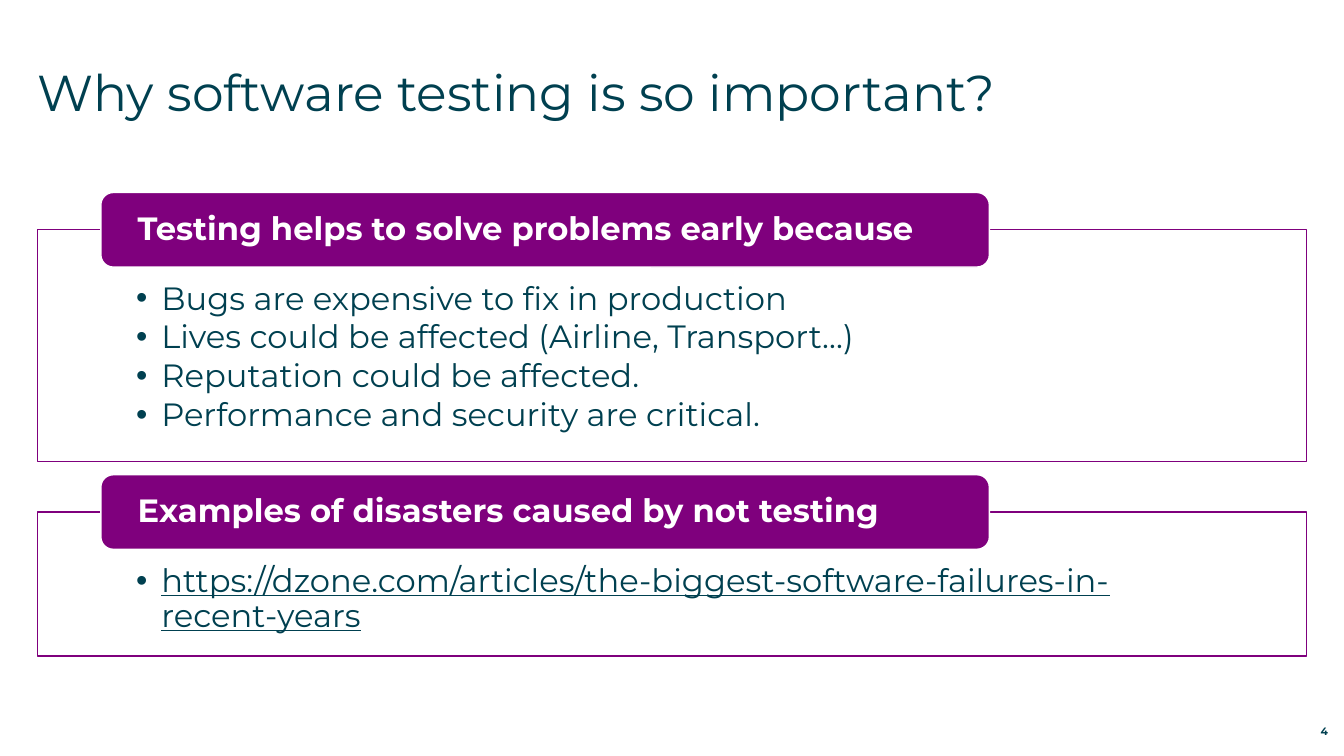
from lxml.etree import SubElement
from pptx import Presentation
from pptx.dml.color import RGBColor
from pptx.enum.shapes import MSO_SHAPE
from pptx.enum.text import MSO_ANCHOR, PP_ALIGN
from pptx.oxml.ns import qn
from pptx.util import Inches, Pt

FONT = "Montserrat"
COLORS = {"text": "004050", "accent": "7F007D", "white": "FFFFFF"}
BODY_SIZE = 23

# Each panel: top, height, heading, bullet lines, underlined
PANELS = [
    (2.28, 2.3, "Testing helps to solve problems early because", [
        "Bugs are expensive to fix in production",
        "Lives could be affected (Airline, Transport…)",
        "Reputation could be affected.",
        "Performance and security are critical.",
    ], False),
    (5.08, 1.43, "Examples of disasters caused by not testing", [
        "https://dzone.com/articles/the-biggest-software-failures-in-recent-years",
    ], True),
]


def set_frame(shape, margins=(0, 0, 0, 0), anchor=MSO_ANCHOR.TOP):
    frame = shape.text_frame
    frame.word_wrap = True
    frame.vertical_anchor = anchor
    (frame.margin_left, frame.margin_top,
     frame.margin_right, frame.margin_bottom) = map(Inches, margins)
    return frame


def add_span(para, text, size, color="text", bold=False, underline=False):
    span = para.add_run()
    span.text = text
    font = span.font
    font.name = FONT
    font.size = Pt(size)
    font.bold = bold
    font.underline = underline
    font.color.rgb = RGBColor.from_string(COLORS[color])


def add_label(page, box, text, size, align=PP_ALIGN.LEFT,
              anchor=MSO_ANCHOR.TOP, bold=False):
    label = page.shapes.add_textbox(*map(Inches, box))
    para = set_frame(label, anchor=anchor).paragraphs[0]
    para.alignment = align
    add_span(para, text, size, bold=bold)


def add_block(page, preset, box, fill, line):
    block = page.shapes.add_shape(preset, *map(Inches, box))
    block.shadow.inherit = False
    block.fill.solid()
    block.fill.fore_color.rgb = RGBColor.from_string(COLORS[fill])
    block.line.color.rgb = RGBColor.from_string(COLORS[line])
    block.line.width = Pt(1)
    return block


def add_bullet(para):
    properties = para._p.get_or_add_pPr()
    properties.set("marL", str(Inches(0.25)))
    properties.set("indent", str(-Inches(0.25)))
    SubElement(properties, qn("a:buFont"), typeface="Arial")
    SubElement(properties, qn("a:buChar"), char="•")


def add_panel(page, box, heading, lines, underline):
    left, top, width, height = box

    # Outlined body with bullets
    body = add_block(page, MSO_SHAPE.RECTANGLE, box, "white", "accent")
    frame = set_frame(body, (0.98, 0.52, 0.98, 0.18))
    for index, line in enumerate(lines):
        para = frame.add_paragraph() if index else frame.paragraphs[0]
        add_bullet(para)
        para.alignment = PP_ALIGN.LEFT
        para.line_spacing = 0.9
        para.space_after = Pt(3)
        add_span(para, line, BODY_SIZE, underline=underline)

    # Heading tab centred on the top edge
    tab_height = 0.74
    tab_box = (left + 0.63, top - tab_height / 2, width * 0.7, tab_height)
    tab = add_block(page, MSO_SHAPE.ROUNDED_RECTANGLE, tab_box, "accent", "white")
    para = set_frame(tab, (0.33, 0, 0.33, 0), MSO_ANCHOR.MIDDLE).paragraphs[0]
    para.alignment = PP_ALIGN.LEFT
    para.line_spacing = 0.9
    add_span(para, heading, BODY_SIZE, "white", bold=True)


def build_page(deck):
    page = deck.slides.add_slide(deck.slide_layouts[6])

    # Title and page number
    add_label(page, (0.37, 0.61, 12.6, 0.88),
              "Why software testing is so important?", 36)
    add_label(page, (12.31, 7.12, 0.86, 0.2), "4", 7.6,
              PP_ALIGN.RIGHT, MSO_ANCHOR.BOTTOM, bold=True)

    # Panels
    for top, height, heading, lines, underline in PANELS:
        add_panel(page, (0.37, top, 12.59, height), heading, lines, underline)


def main():
    deck = Presentation()
    deck.slide_width = Inches(13.33)
    deck.slide_height = Inches(7.5)
    build_page(deck)
    deck.save("out.pptx")


if __name__ == "__main__":
    main()
